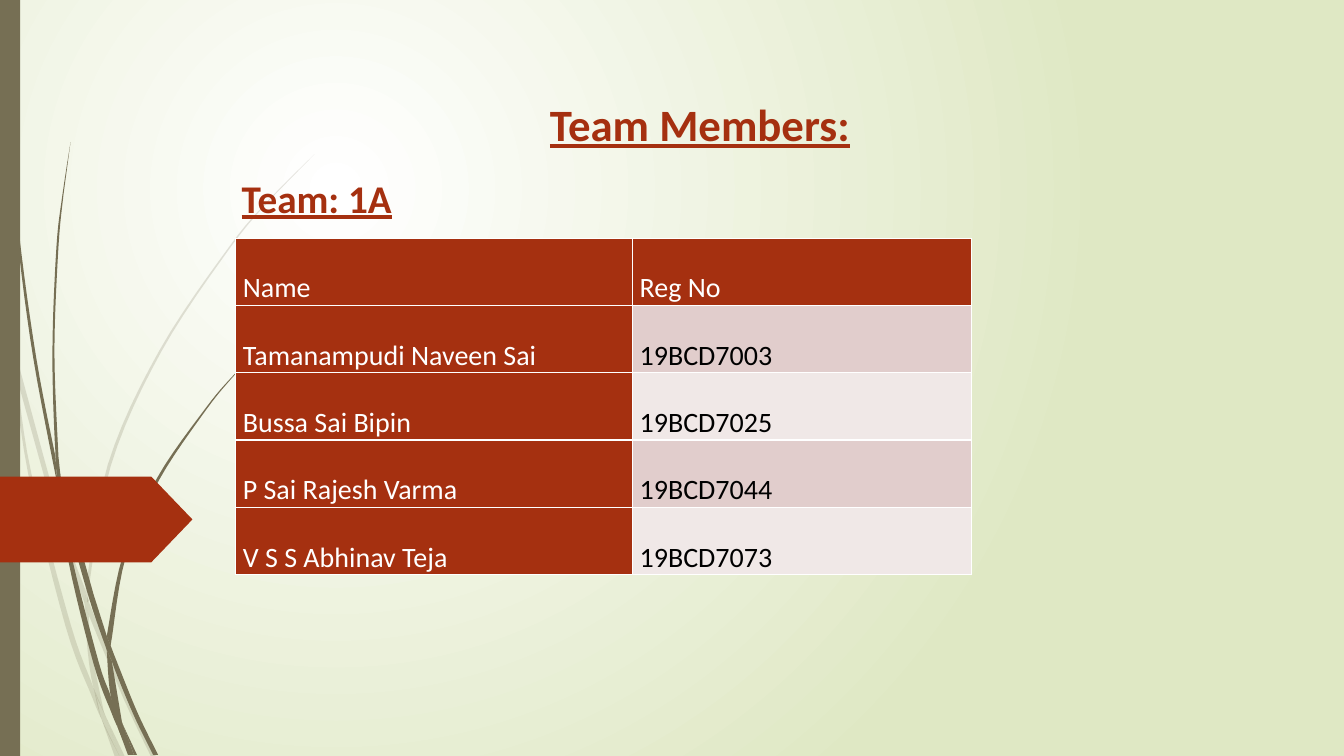
from dataclasses import dataclass

from lxml import etree
from pptx import Presentation, util as u
from pptx.dml.color import RGBColor
from pptx.enum import shapes, text
from pptx.oxml import parse_xml
from pptx.oxml.ns import nsdecls, qn


@dataclass(frozen=True)
class Theme:
    font: str = "Calibri"
    accent: str = "A53010"
    stem: str = "766F54"
    light: str = "FFFFFF"
    dark: str = "000000"
    glow_edge: str = "DFE8C4"
    bands: tuple = ("E1CDCC", "F0E8E7")
    title_size: int = 32
    team_size: int = 28
    cell_size: int = 20


THEME = Theme()

MEMBERS = [
    ("Name", "Reg No"),
    ("Tamanampudi Naveen Sai", "19BCD7003"),
    ("Bussa Sai Bipin", "19BCD7025"),
    ("P Sai Rajesh Varma", "19BCD7044"),
    ("V S S Abhinav Teja", "19BCD7073"),
]

# Each blade has two edges, followed around its outline in units of GRASS_CM
GRASS_CM = 0.0254
FAINT_BLADES = [
    ([(11, 350), (9, 322), (0, 282)], [(0, 299), (10, 344)]),
    ([(17, 376), (58, 522), (84, 599)], [(85, 586), (62, 520), (14, 345)]),
    ([(88, 610), (123, 694), (150, 751)],
     [(155, 751), (127, 692), (92, 607), (88, 596)]),
    ([(105, 711), (119, 751)], [(124, 751)]),
    ([(11, 350), (28, 470), (65, 621), (92, 693), (101, 714)],
     [(99, 707), (93, 683), (70, 619), (31, 469), (17, 376)]),
    ([(84, 599), (87, 646), (93, 683), (105, 711)],
     [(103, 706), (91, 646), (88, 610)]),
    ([(85, 584), (107, 461), (158, 348), (228, 244), (268, 197), (312, 153)],
     [(268, 198), (229, 245), (160, 349), (110, 462), (88, 584), (88, 596)]),
    ([(101, 714), (114, 751)], [(119, 751)]),
    ([(84, 599), (85, 586)], [(88, 596), (88, 610)]),
    ([(93, 683), (101, 714), (119, 751)], [(105, 711)]),
]
DARK_BLADES = [
    ([(3, 0), (4, 48), (7, 110), (17, 233), (33, 355), (57, 481)],
     [(55, 453), (36, 355), (19, 232), (8, 109), (5, 48), (4, 0)]),
    ([(60, 472), (64, 505), (88, 592), (106, 645)], [(106, 631), (93, 590)]),
    ([(110, 641), (111, 656), (132, 708), (152, 749)],
     [(157, 749), (136, 706), (113, 649)]),
    ([(57, 477), (68, 557), (93, 659), (111, 708), (117, 722)],
     [(116, 717), (110, 691), (98, 657), (72, 556), (64, 505)]),
    ([(60, 472), (55, 449), (52, 349), (56, 245), (62, 193), (70, 141)],
     [(63, 193), (58, 245), (54, 349), (58, 453)]),
    ([(122, 719), (133, 749)], [(136, 749)]),
    ([(55, 449), (57, 477), (64, 505)], [(60, 472)]),
    ([(106, 631), (122, 551), (156, 474), (204, 405), (231, 373), (260, 344)],
     [(231, 374), (205, 406), (158, 476), (125, 552), (111, 633), (110, 641)]),
    ([(117, 722), (127, 749)], [(131, 749)]),
    ([(106, 645), (110, 691), (122, 719)], [(121, 716), (111, 656)]),
    ([(106, 631), (106, 645)], [(111, 656), (110, 641)]),
    ([(110, 691), (117, 722), (130, 749)], [(133, 749), (122, 719), (116, 706)]),
]


def rgb(code):
    return RGBColor.from_string(code)


def paint(shape, color, alpha=None):
    shape.shadow.inherit = False
    shape.fill.solid()
    shape.fill.fore_color.rgb = rgb(color)
    shape.line.fill.background()
    if alpha is not None:
        fill_color = shape.fill._xPr.find(qn("a:solidFill"))[0]
        etree.SubElement(fill_color, qn("a:alpha"), val=str(alpha * 1000))


def write(paragraph, words, *, size, color, bold=False, underline=False,
          align=text.PP_ALIGN.LEFT, spacing=None, indent=None):
    paragraph.alignment = align
    paragraph.line_spacing = spacing
    if indent is not None:
        properties = paragraph._p.get_or_add_pPr()
        properties.set("marL", str(indent))
        properties.set("indent", "0")
    run = paragraph.add_run()
    run.text = words
    font = run.font
    font.name, font.size = THEME.font, u.Pt(size)
    font.bold, font.underline = bold, underline
    font.color.rgb = rgb(color)


def smooth(knots, steps=6):
    """Points of a Catmull-Rom curve through the knots."""
    padded = [knots[0], *knots, knots[-1]]
    curve = []
    for a, b, c, d in zip(padded, padded[1:], padded[2:], padded[3:]):
        for t in (step / steps for step in range(steps)):
            curve.append(tuple(
                0.5 * (2 * q + (r - p) * t + (2 * p - 5 * q + 4 * r - s) * t ** 2
                       + (3 * q - p - 3 * r + s) * t ** 3)
                for p, q, r, s in zip(a, b, c, d)))
    return curve + [knots[-1]]


def add_blade(slide, edges, left, top, alpha):
    outline = [(left + u.Cm(x * GRASS_CM), top + u.Cm(y * GRASS_CM))
               for edge in edges for x, y in smooth(edge)]
    builder = slide.shapes.build_freeform(*outline[0])
    builder.add_line_segments(outline[1:], close=True)
    paint(builder.convert_to_shape(), THEME.stem, alpha)


def add_glow(slide):
    """Fill the background with a radial gradient, centred at the upper left."""
    stops = "".join(
        f'<a:gs pos="{pos}"><a:srgbClr val="{color}"/></a:gs>'
        for pos, color in ((0, THEME.light), (100000, THEME.glow_edge)))
    slide._element.cSld.insert(0, parse_xml(
        f'<p:bg {nsdecls("p", "a")}><p:bgPr><a:gradFill rotWithShape="1">'
        f'<a:gsLst>{stops}</a:gsLst><a:path path="circle">'
        '<a:fillToRect l="50000" t="50000" r="100000" b="100000"/></a:path>'
        '</a:gradFill><a:effectLst/></p:bgPr></p:bg>'))


def add_side_decoration(slide, left, top, width, height):
    for blades, alpha in ((FAINT_BLADES, 20), (DARK_BLADES, None)):
        for edges in blades:
            add_blade(slide, edges, left, top, alpha)
    bar = slide.shapes.add_shape(
        shapes.MSO_SHAPE.RECTANGLE, left, top, width, height)
    paint(bar, THEME.stem)
    marker = slide.shapes.add_shape(
        shapes.MSO_SHAPE.PENTAGON, left, top + u.Cm(12.01), u.Cm(4.85), u.Cm(2.16))
    marker.adjustments[0] = 0.48
    paint(marker, THEME.accent)


def add_headings(slide, left, top, width, height):
    frame = slide.shapes.add_textbox(left, top, width, height).text_frame
    frame.word_wrap = True
    heading = dict(color=THEME.accent, bold=True, underline=True, spacing=1.5)
    write(frame.paragraphs[0], "Team Members:", size=THEME.title_size,
          align=text.PP_ALIGN.CENTER, **heading)
    write(frame.add_paragraph(), "Team: 1A", size=THEME.team_size,
          indent=u.Cm(1.56), **heading)


def add_cell_borders(cell):
    properties = cell._tc.get_or_add_tcPr()
    for position, side in enumerate(("lnL", "lnR", "lnT", "lnB")):
        properties.insert(position, parse_xml(
            f'<a:{side} {nsdecls("a")} w="{u.Pt(1)}"><a:solidFill>'
            f'<a:srgbClr val="{THEME.light}"/></a:solidFill></a:{side}>'))


def add_member_table(slide, left, top, width, height):
    table = slide.shapes.add_table(
        len(MEMBERS), 2, left, top, width, height).table
    name_width = u.Cm(10)
    table.columns[0].width = name_width
    table.columns[1].width = width - name_width
    for row, member in enumerate(MEMBERS):
        for column, entry in enumerate(member):
            cell = table.cell(row, column)
            is_heading = row == 0 or column == 0
            cell.fill.solid()
            cell.fill.fore_color.rgb = rgb(
                THEME.accent if is_heading else THEME.bands[(row - 1) % 2])
            cell.margin_left = cell.margin_right = u.Cm(0.19)
            cell.margin_top = cell.margin_bottom = 0
            cell.vertical_anchor = text.MSO_ANCHOR.BOTTOM
            write(cell.text_frame.paragraphs[0], entry, size=THEME.cell_size,
                  color=THEME.light if is_heading else THEME.dark)
            add_cell_borders(cell)


def main():
    deck = Presentation()
    deck.slide_width, deck.slide_height = u.Cm(33.87), u.Cm(19.05)
    slide = deck.slides.add_slide(deck.slide_layouts[6])
    add_glow(slide)
    add_side_decoration(slide, 0, 0, u.Cm(0.51), deck.slide_height)
    add_headings(slide, u.Cm(4.28), u.Cm(1.64), u.Cm(26.72), u.Cm(3.91))
    add_member_table(slide, u.Cm(5.93), u.Cm(6), u.Cm(18.55), u.Cm(8.48))
    deck.save("out.pptx")


if __name__ == "__main__":
    main()
